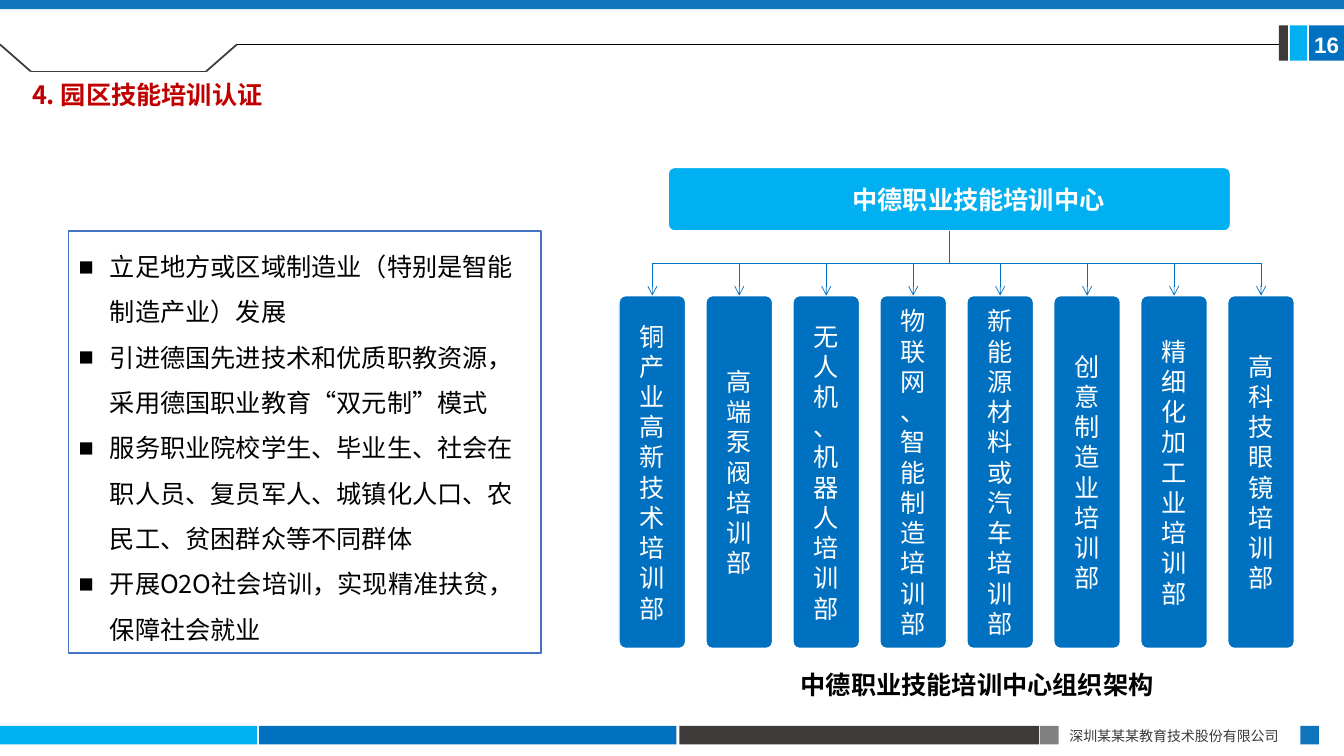
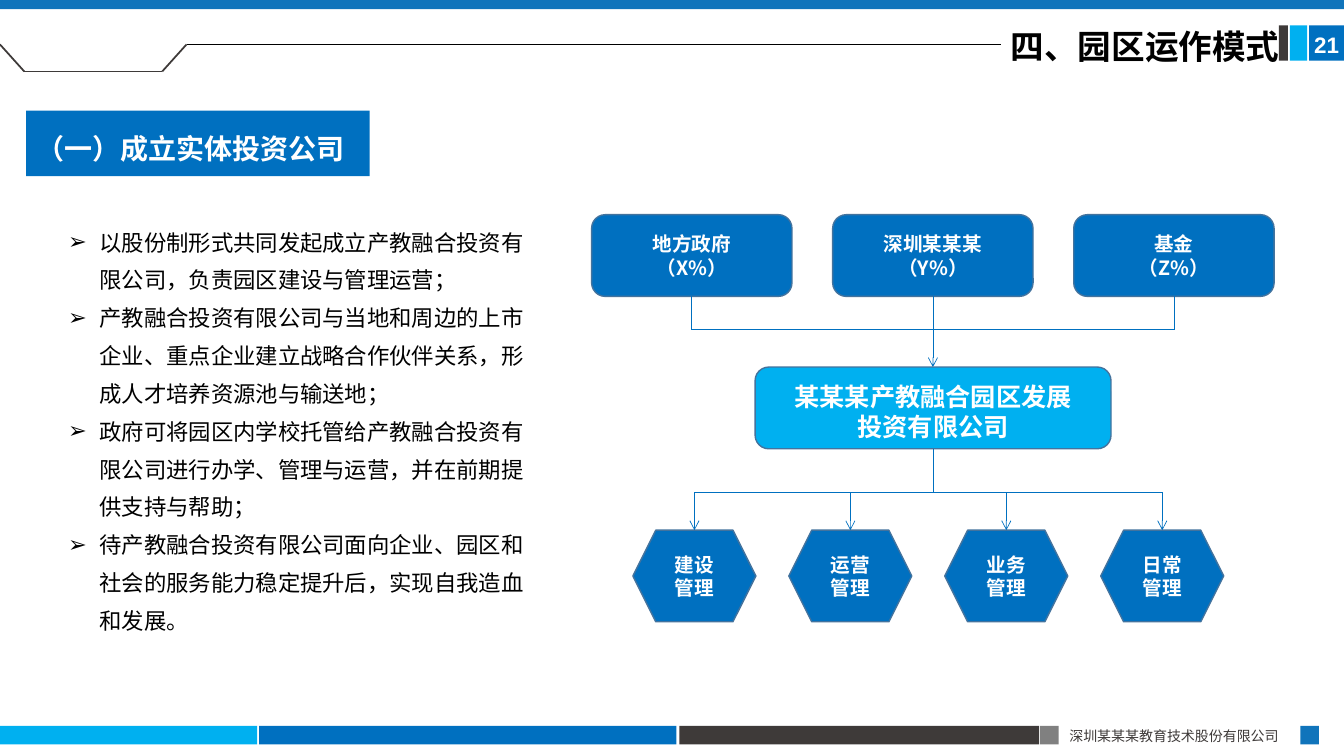
from itertools import pairwise

from lxml import etree
from pptx import Presentation
from pptx.dml.color import RGBColor
from pptx.enum.shapes import MSO_CONNECTOR, MSO_SHAPE
from pptx.enum.text import MSO_ANCHOR, MSO_AUTO_SIZE, PP_ALIGN
from pptx.oxml.ns import qn
from pptx.util import Cm, Pt

RECT = MSO_SHAPE.RECTANGLE
ROUND = MSO_SHAPE.ROUNDED_RECTANGLE
HEX = MSO_SHAPE.HEXAGON
LINE = MSO_CONNECTOR.STRAIGHT
LEFT = PP_ALIGN.LEFT
MID = PP_ALIGN.CENTER
TOP = MSO_ANCHOR.TOP
HALF = MSO_ANCHOR.MIDDLE
FIXED = MSO_AUTO_SIZE.NONE

FONT = "Noto Sans CJK SC"
BLUE = "0070C0"
SKY = "00B0F0"
BAND = "1074BB"
DARK = "3E3A39"
GRAY = "808080"
EDGE = "43739E"
FRAME = "4472C4"
RED = "C00000"
WHITE = "FFFFFF"
BLACK = "000000"
WIDE, HIGH = 33.87, 19.05
PAD = (0.25, 0.13, 0.25, 0.13)

FIRM = "深圳某某某教育技术股份有限公司"
AIMS = [
    "立足地方或区域制造业（特别是智能制造产业）发展",
    "引进德国先进技术和优质职教资源，采用德国职业教育“双元制”模式",
    "服务职业院校学生、毕业生、社会在职人员、复员军人、城镇化人口、农民工、贫困群众等不同群体",
    "开展O2O社会培训，实现精准扶贫，保障社会就业",
]
UNITS = [
    ["铜产业高新技术培训部"],
    ["高端", "泵阀培训部"],
    ["无人机", "、", "机器人培训部"],
    ["物联网", "、智能制造培训部"],
    ["新能源材料或汽车培训部"],
    ["创意制造业培训部"],
    ["精细化加工业培训部"],
    ["高科技眼镜培训部"],
]
STEPS = [
    "以股份制形式共同发起成立产教融合投资有限公司，负责园区建设与管理运营；",
    "产教融合投资有限公司与当地和周边的上市企业、重点企业建立战略合作伙伴关系，形成人才培养资源池与输送地；",
    "政府可将园区内学校托管给产教融合投资有限公司进行办学、管理与运营，并在前期提供支持与帮助；",
    "待产教融合投资有限公司面向企业、园区和社会的服务能力稳定提升后，实现自我造血和发展。",
]
OWNERS = [["地方政府", "（X%）"], ["深圳某某某", "（Y%）"], ["基金", "（Z%）"]]
TASKS = [["建设", "管理"], ["运营", "管理"], ["业务", "管理"], ["日常", "管理"]]


def color(code):
    return RGBColor.from_string(code)


def text(shape, parts, size=18, ink=WHITE, bold=False, font=FONT, align=MID,
         anchor=HALF, pad=PAD, space=None, mark=None):
    frame = shape.text_frame
    frame.word_wrap = True
    frame.auto_size = FIXED
    frame.vertical_anchor = anchor
    (frame.margin_left, frame.margin_top,
     frame.margin_right, frame.margin_bottom) = map(Cm, pad)
    for i, part in enumerate(parts):
        para = frame.add_paragraph() if i else frame.paragraphs[0]
        para.alignment = align
        if space:
            para.line_spacing = space
        if mark:
            props = para._p.get_or_add_pPr()
            props.set("marL", str(Cm(0.79)))
            props.set("indent", str(-Cm(0.79)))
            etree.SubElement(props, qn("a:buFont"), typeface="Arial")
            etree.SubElement(props, qn("a:buChar"), char=mark)
        run = para.add_run()
        run.text = part
        run.font.size = Pt(size)
        run.font.bold = bold
        run.font.color.rgb = color(ink)
        run.font.name = font
        etree.SubElement(run._r.get_or_add_rPr(), qn("a:ea"), typeface=font)


def shape(slide, kind, x, y, w, h, fill, edge=None):
    item = slide.shapes.add_shape(kind, Cm(x), Cm(y), Cm(w), Cm(h))
    item.shadow.inherit = False
    item.fill.solid()
    item.fill.fore_color.rgb = color(fill)
    if edge:
        item.line.color.rgb = color(edge)
        item.line.width = Pt(1)
    else:
        item.line.fill.background()
    return item


def label(slide, x, y, w, h, parts, **style):
    box = slide.shapes.add_textbox(Cm(x), Cm(y), Cm(w), Cm(h))
    text(box, parts, **style)


def line(slide, x1, y1, x2, y2, ink=BLUE, width=0.5, arrow=False):
    item = slide.shapes.add_connector(LINE, Cm(x1), Cm(y1), Cm(x2), Cm(y2))
    item.line.color.rgb = color(ink)
    item.line.width = Pt(width)
    props = item.element.spPr
    if arrow:
        etree.SubElement(props.find(qn("a:ln")), qn("a:tailEnd"), type="arrow")
    etree.SubElement(props, qn("a:effectLst"))


def title(slide, x, y, w, h, words, **style):
    head = slide.shapes.title
    head.left, head.top, head.width, head.height = map(Cm, (x, y, w, h))
    text(head, [words], bold=True, align=LEFT, anchor=TOP, **style)


def footer(slide, y, h):
    bars = [(0, 6.48, SKY), (6.53, 10.52, BLUE), (17.12, 9.07, DARK),
            (26.21, h, GRAY), (32.77, h, BAND)]
    for x, w, fill in bars:
        shape(slide, RECT, x, y, w, h, fill)
    label(slide, 26.7, y - 0.1, 6.1, 0.69, [FIRM], size=10, ink=DARK, align=LEFT)


def header(slide, page, notch, end):
    shape(slide, RECT, 0, 0, WIDE, 0.23, BAND)
    shape(slide, RECT, 32.23, 0.64, 0.23, 0.89, DARK)
    shape(slide, RECT, 32.51, 0.64, 0.43, 0.89, SKY)
    tag = shape(slide, RECT, 32.99, 0.64, 0.88, 0.89, BLUE)
    text(tag, [page], size=16, bold=True, font="Arial", pad=(0, 0.1, 0, 0))
    high, low = 1.12, 1.8
    points = [(0, high), (0.13 * notch, low), (0.87 * notch, low), (notch, high)]
    for start, stop in pairwise(points):
        line(slide, *start, *stop, ink=DARK, width=1.25)
    line(slide, notch, high, end, high, ink=BLACK)


def base(deck, page, notch, end):
    slide = deck.slides.add_slide(deck.slide_layouts[5])
    footer(slide, 18.29, 0.47)
    header(slide, page, notch, end)
    return slide


def fork(slide, mid, top, bar, end, drops):
    line(slide, mid, top, mid, bar)
    line(slide, drops[0], bar, drops[-1], bar)
    for x in drops:
        line(slide, x, bar, x, end, arrow=True)


def center(slide, left, top, wide):
    x, w, h = left + 1.24, 14.17, 1.6
    head = shape(slide, ROUND, x, top, w, h, SKY, WHITE)
    head.adjustments[0] = 0.1
    text(head, ["中德职业技能培训中心"], bold=True, pad=(1.47, 0, 0, 0))
    size, row = 1.68, top + 3.23
    gap = (wide - size) / (len(UNITS) - 1)
    spots = [left + i * gap for i in range(len(UNITS))]
    for spot, unit in zip(spots, UNITS):
        box = shape(slide, ROUND, spot, row, size, 8.89, BLUE, WHITE)
        box.adjustments[0] = 0.1
        text(box, unit)
    fork(slide, x + w / 2, top + h, top + 2.41, row,
         [spot + size / 2 for spot in spots])
    label(slide, left + 2.18, top + 12.52, 13.69, 1.02,
          ["中德职业技能培训中心组织架构"], ink=BLACK, bold=True, anchor=TOP)


def venture(slide, left, top, wide):
    mid, w, h = left + wide / 2, 5.05, 2.06
    gap = (wide - w) / 2
    bar, hub = top + 2.9, top + 3.84
    for i, owner in enumerate(OWNERS):
        x = left + i * gap
        box = shape(slide, ROUND, x, top, w, h, BLUE, EDGE)
        text(box, owner, size=14, bold=True)
        line(slide, x + w / 2, top + h, x + w / 2, bar)
    line(slide, left + w / 2, bar, left + wide - w / 2, bar)
    line(slide, mid, bar, mid, hub, arrow=True)
    firm = shape(slide, ROUND, mid - 4.48, hub, 8.97, h, SKY, EDGE)
    text(firm, ["某某某产教融合园区发展投资有限公司"], bold=True,
         pad=(0.8, 0.18, 0.8, 0))
    row, size, step = top + 7.95, 3.1, 3.93
    spots = [left + 1.04 + i * step for i in range(len(TASKS))]
    for spot, task in zip(spots, TASKS):
        box = shape(slide, HEX, spot, row, size, 2.31, BLUE, EDGE)
        text(box, task, size=14, bold=True, pad=(0, 0, 0, 0))
    fork(slide, mid, hub + h, top + 6.99, row,
         [spot + size / 2 for spot in spots])


def skills(deck):
    slide = base(deck, "16", 5.97, 32.23)
    title(slide, 0.61, 1.9, 6.3, 1.6, "4. 园区技能培训认证", ink=RED,
          pad=(0.2, 0.1, 0.2, 0.1))
    box = shape(slide, RECT, 1.73, 5.82, 11.91, 10.64, WHITE, FRAME)
    text(box, AIMS, ink=BLACK, align=LEFT, anchor=TOP, space=1.5, mark="■")
    center(slide, 15.6, 4.22, 17.02)


def model(deck):
    slide = base(deck, "21", 4.7, 25.22)
    title(slide, 25.22, 0.64, 7.67, 1.27, "四、园区运作模式", size=24,
          ink=BLACK, space=0.9)
    band = shape(slide, RECT, 0.66, 2.79, 8.66, 1.65, BLUE)
    text(band, ["（一）成立实体投资公司"], size=20, bold=True, align=LEFT, space=1.3)
    label(slide, 1.47, 5.36, 12.29, 10.85, STEPS, size=16, ink=BLACK,
          align=LEFT, anchor=TOP, space=Pt(27), mark="➢")
    venture(slide, 14.91, 5.41, 17.2)


def main():
    deck = Presentation()
    deck.slide_width, deck.slide_height = Cm(WIDE), Cm(HIGH)
    skills(deck)
    model(deck)
    deck.save("out.pptx")


if __name__ == "__main__":
    main()
